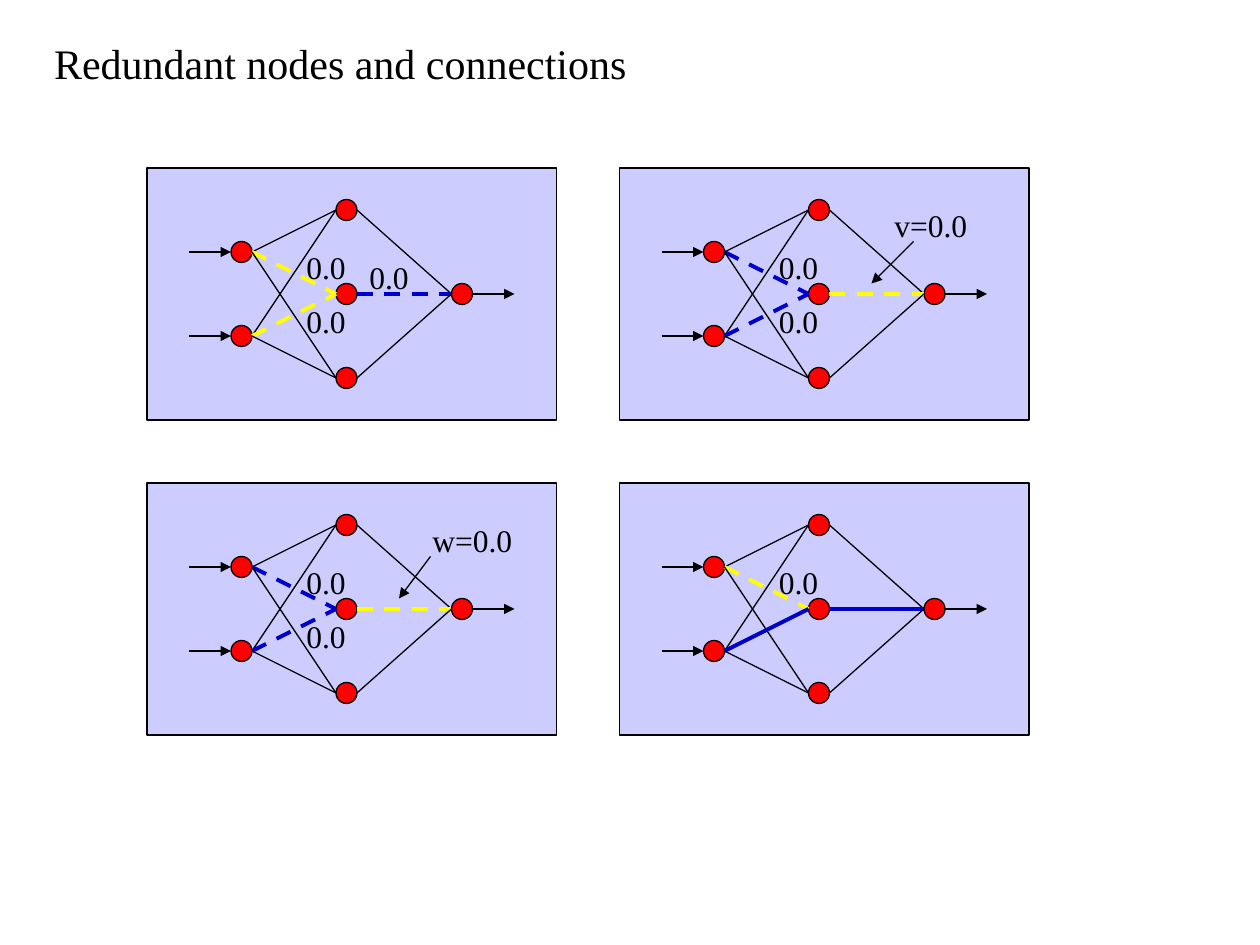
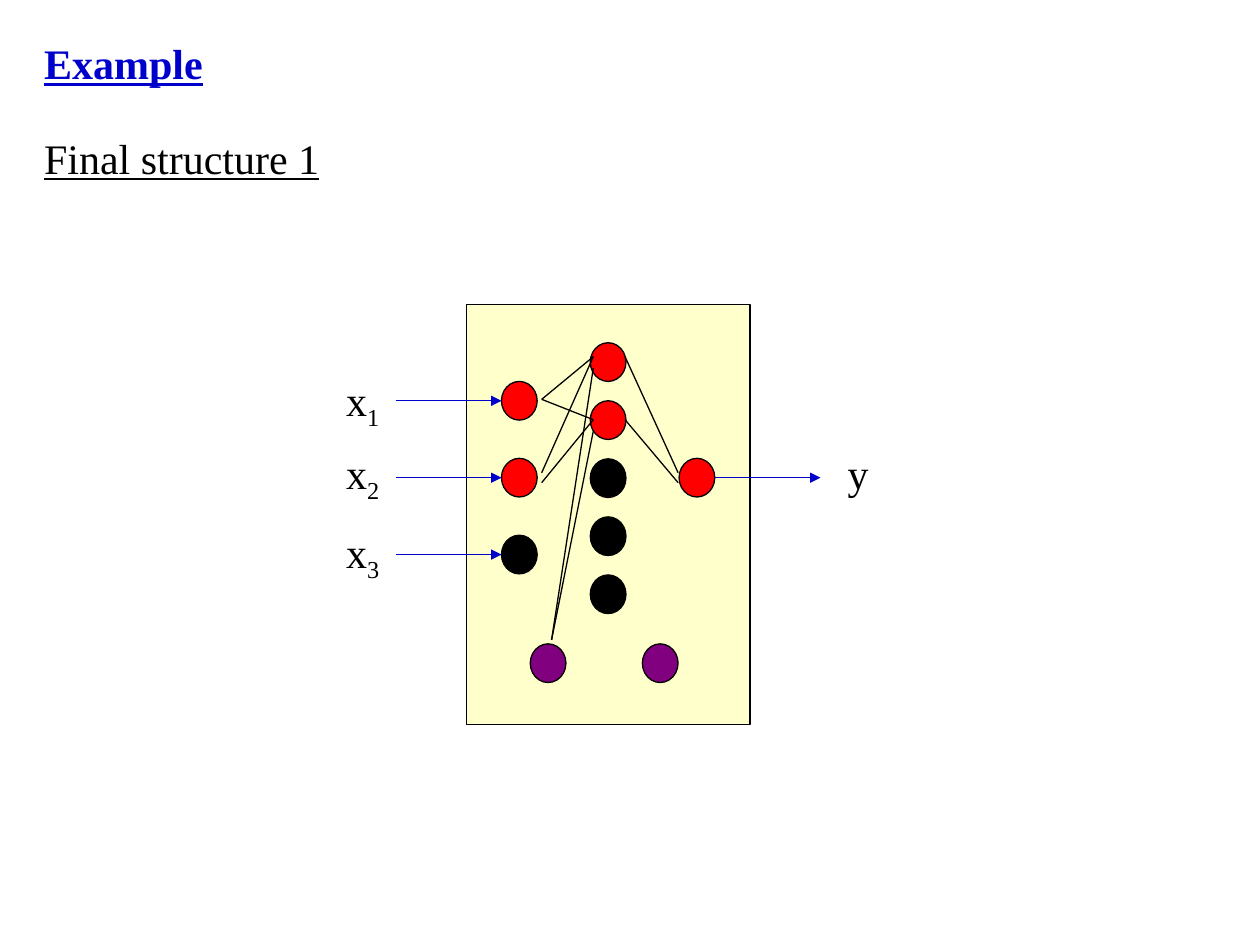
from lxml import etree
from pptx import Presentation
from pptx import util as u
from pptx.dml.color import RGBColor
from pptx.enum import dml, shapes, text
from pptx.oxml.ns import qn

FONT = "Times New Roman"
BLACK, BLUE, RED, YELLOW, PURPLE = "000000", "0000CC", "FF0000", "FFFF00", "800080"
LILAC, CREAM = "CCCCFF", "FFFFCC"
GRID = 2.54 / 12  # cm per grid step of the network panels
TITLE_H = 1.27

THIN = dict(color=BLACK, width=0.75)
POINTER = dict(THIN, arrow=True)
SIGNAL = dict(POINTER, color=BLUE)
BOLD_BLUE = dict(color=BLUE, width=2.25)
DASH_BLUE = dict(BOLD_BLUE, dash=True)
DASH_YELLOW = dict(DASH_BLUE, color=YELLOW)


def rgb(value):
    return RGBColor.from_string(value)


class Deck:
    """Holds the style, the current slide and its drawing frame."""

    def __init__(self):
        self.prs = Presentation()
        self.prs.slide_width, self.prs.slide_height = u.Cm(25.4), u.Cm(19.05)

    def slide(self):
        self.s = self.prs.slides.add_slide(self.prs.slide_layouts[6])
        self.frame()

    def frame(self, x=0, y=0, scale=1):
        """Following coordinates count from x, y in steps of scale cm."""
        self.x0, self.y0, self.scale = x, y, scale

    def box(self, x, y, w, h):
        k = self.scale
        return [u.Cm(v) for v in (self.x0 + x * k, self.y0 + y * k, w * k, h * k)]

    def shape(self, kind, fill, *at):
        sp = self.s.shapes.add_shape(kind, *self.box(*at))
        sp.shadow.inherit = False
        sp.fill.solid()
        sp.fill.fore_color.rgb = rgb(fill)
        sp.line.color.rgb = rgb(BLACK)
        sp.line.width = u.Pt(0.75)

    def panel(self, fill, *at):
        self.shape(shapes.MSO_SHAPE.RECTANGLE, fill, *at)

    def node(self, fill, *at):
        self.shape(shapes.MSO_SHAPE.OVAL, fill, *at)

    def line(self, start, end, color, width, dash=False, arrow=False):
        x1, y1, x2, y2 = self.box(*start, 0, 0)[:2] + self.box(*end, 0, 0)[:2]
        c = self.s.shapes.add_connector(shapes.MSO_CONNECTOR.STRAIGHT, x1, y1, x2, y2)
        c.line.color.rgb = rgb(color)
        c.line.width = u.Pt(width)
        if dash:
            c.line.dash_style = dml.MSO_LINE.DASH
        if arrow:
            etree.SubElement(c.line._get_or_add_ln(), qn("a:tailEnd"), type="triangle")
        etree.SubElement(c._element.spPr, qn("a:effectLst"))

    def label(self, words, *at, sub="", size=24, color=BLACK, **fmt):
        tf = self.s.shapes.add_textbox(*self.box(*at)).text_frame
        tf.word_wrap = True
        tf.auto_size = text.MSO_AUTO_SIZE.SHAPE_TO_FIT_TEXT
        p = tf.paragraphs[0]
        for part in filter(None, (words, sub)):
            r = p.add_run()
            r.text = part
            r.font.color.rgb = rgb(color)
            for key, value in dict(name=FONT, size=u.Pt(size), **fmt).items():
                setattr(r.font, key, value)
        if sub:
            r._r.get_or_add_rPr().set("baseline", "-25000")

    def title(self, words, x, y, w, **fmt):
        self.label(words, x, y, w, TITLE_H, **fmt)


def network(deck, col, row, styles, labels, pointer=None):
    """One panel with a 2-3-1 network; styles are for the middle node's edges."""
    deck.frame((14 + 45 * col) * GRID, (16 + 30 * row) * GRID, GRID)
    deck.panel(LILAC, 0, 0, 39, 24)
    inputs, hidden, out = (8, 16), (4, 12, 20), 12
    centres = [(9, y) for y in inputs] + [(19, y) for y in hidden] + [(30, out)]
    for x, y in centres:
        deck.node(RED, x - 1, y - 1, 2, 2)

    # Edges
    for y, style in zip(inputs, styles):
        for h in hidden:
            deck.line((10, y), (18, h), **(style if h == out else THIN))
        deck.line((4, y), (8, y), **POINTER)
    for h in hidden:
        deck.line((20, h), (29, out), **(styles[2] if h == out else THIN))
    deck.line((31, out), (35, out), **POINTER)

    # Weights
    for words, x, y, w in labels:
        deck.label(words, x, y, w, 4.8, size=18)
    if pointer:
        deck.line(pointer, (24, 11), **POINTER)


def redundant_slide(deck):
    deck.slide()
    deck.title("Redundant nodes and connections", 0.84, 0.64, 15.04)
    upper, lower = ("0.0", 14, 7, 7), ("0.0", 14, 12.2, 7)
    network(deck, 0, 0, (DASH_YELLOW, DASH_YELLOW, DASH_BLUE),
            (upper, lower, ("0.0", 20, 8, 7)))
    network(deck, 1, 0, (DASH_BLUE, DASH_BLUE, DASH_YELLOW),
            (upper, lower, ("v=0.0", 25, 3, 12)), (28, 7))
    network(deck, 0, 1, (DASH_BLUE, DASH_BLUE, DASH_YELLOW),
            (upper, lower, ("w=0.0", 26, 3, 11)), (27, 7))
    network(deck, 1, 1, (DASH_YELLOW, BOLD_BLUE, BOLD_BLUE), (upper,))


def example_slide(deck):
    deck.slide()
    deck.title("Example", 0.64, 0.64, 3.81, color=BLUE, bold=True, underline=True)
    deck.title("Final structure 1", 0.64, 2.54, 7.2, underline=True)
    deck.panel(CREAM, 9.4, 6.14, 5.72, 8.47)

    # Nodes
    w, h = 0.72, 0.78
    for i, fill in enumerate((RED, RED, BLACK, BLACK, BLACK)):
        deck.node(fill, 11.9, 6.91 + i * 1.17, w, h)
    deck.node(RED, 13.69, 9.24, w, h)
    for x in (10.69, 12.95):
        deck.node(PURPLE, x, 12.98, w, h)

    # Inputs and output
    label_tops = (7.42, 8.89, 10.48)
    for i, (fill, top) in enumerate(zip((RED, RED, BLACK), label_tops)):
        y = 7.69 + i * 1.55
        deck.node(fill, 10.11, y, w, h)
        deck.line((7.98, y + h / 2), (10.11, y + h / 2), **SIGNAL)
        deck.label("x", 6.73, top, 2.4, 1.42, sub=str(i + 1))
    deck.line((14.41, 9.63), (16.54, 9.63), **SIGNAL)
    deck.label("y", 16.84, 8.89, 1.78, TITLE_H)

    # Remaining connections: input 1, input 2 and bias to hidden, hidden to output
    for hid, from_second, from_bias, to_out in ((7.19, 9.53, 7.42, 9.53),
                                                (8.46, 9.73, 8.69, 9.73)):
        deck.line((10.92, 8.05), (11.96, hid), **THIN)
        deck.line((10.92, from_second), (11.96, hid), **THIN)
        deck.line((11.12, 12.9), (11.96, from_bias), **THIN)
        deck.line((12.6, hid), (13.67, to_out), **THIN)


def main():
    deck = Deck()
    redundant_slide(deck)
    example_slide(deck)
    deck.prs.save("out.pptx")


if __name__ == "__main__":
    main()
